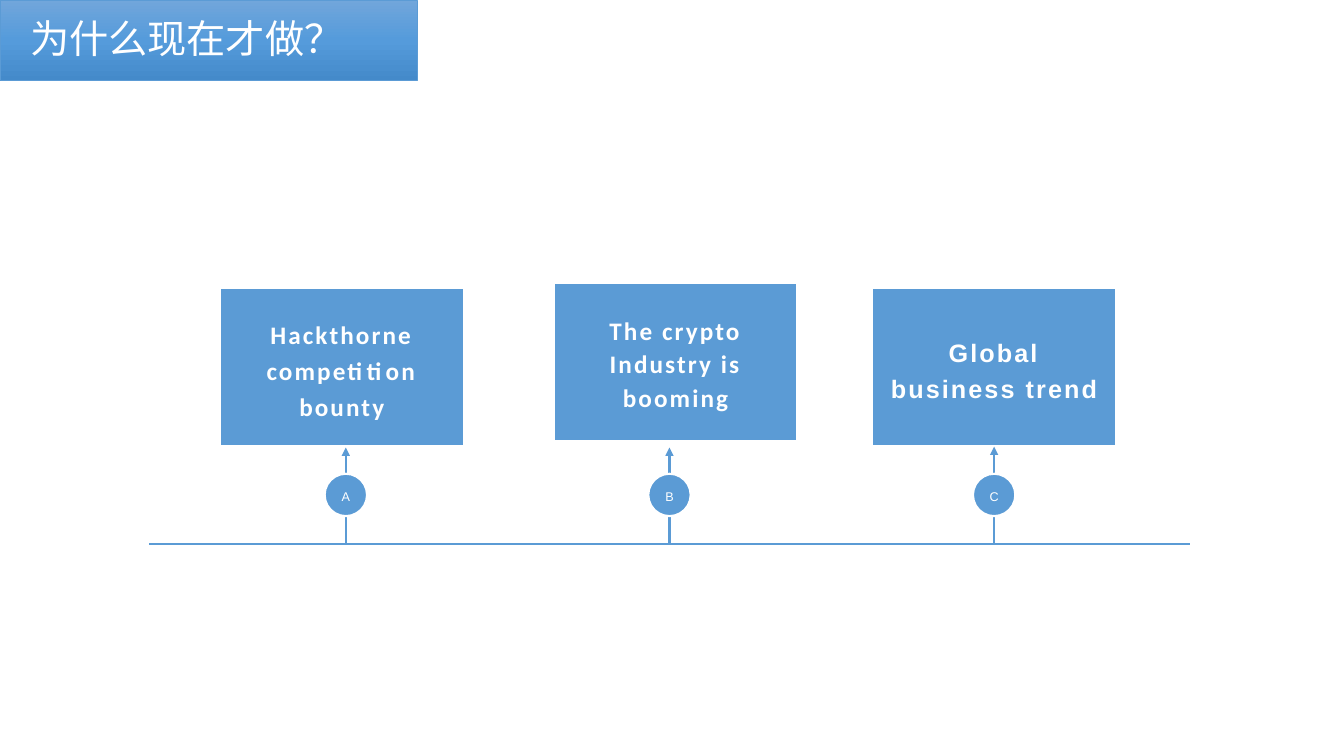
from copy import deepcopy

from lxml.etree import SubElement
from pptx import Presentation
from pptx.dml.color import RGBColor
from pptx.enum.shapes import MSO_CONNECTOR, MSO_SHAPE
from pptx.enum.text import MSO_ANCHOR, MSO_AUTO_SIZE, PP_ALIGN
from pptx.oxml.ns import qn
from pptx.util import Inches, Pt

BLUE = "5B9BD5"
WHITE = "FFFFFF"
AXIS_Y = 5.4
CARD_WIDTH, CARD_HEIGHT = 2.42, 1.57
MARKER_SIZE = 0.42

# letter, stem x, card left, card top, text, font, line spacing
STEPS = [
    ("A", 3.43, 2.18, 2.86, "Hackthorne competition bounty", "Calibri", 1.2),
    ("B", 6.64, 5.49, 2.81, "The crypto Industry is booming", "Calibri", 1.1),
    ("C", 9.86, 8.65, 2.86, "Global business trend", "Arial", 1.2),
]


def color(value):
    return RGBColor.from_string(value)


def add_title(slide, left, top, width, height):
    title = slide.shapes.title
    title.left, title.top = Inches(left), Inches(top)
    title.width, title.height = Inches(width), Inches(height)

    # Three-stop gradient, running downwards
    title.fill.gradient()
    title.fill.gradient_angle = 270
    stop_list = title._element.spPr.find(".//" + qn("a:gsLst"))
    stop_list.insert(1, deepcopy(stop_list[0]))
    stops = [(0, "71A6DB"), (0.5, "559BDB"), (1, "448ACA")]
    for stop, (position, value) in zip(title.fill.gradient_stops, stops):
        stop.position = position
        stop.color.rgb = color(value)
    title.line.color.rgb = color(BLUE)
    title.line.width = Pt(0.5)

    frame = title.text_frame
    frame.text = "为什么现在才做？"
    frame.auto_size = MSO_AUTO_SIZE.NONE
    frame.word_wrap = True
    frame.vertical_anchor = MSO_ANCHOR.MIDDLE
    frame.margin_left = frame.margin_right = Inches(0.3)
    frame.margin_top = frame.margin_bottom = Inches(0.05)
    paragraph = frame.paragraphs[0]
    paragraph.alignment = PP_ALIGN.LEFT
    paragraph.line_spacing = 0.9
    paragraph.space_after = Pt(12)
    font = paragraph.runs[0].font
    font.name = "Noto Sans CJK SC"
    font.size = Pt(28)
    font.color.rgb = color(WHITE)
    SubElement(font._element, qn("a:ea"), typeface="Noto Sans CJK SC")


def add_line(slide, x1, y1, x2, y2):
    line = slide.shapes.add_connector(
        MSO_CONNECTOR.STRAIGHT, Inches(x1), Inches(y1), Inches(x2), Inches(y2))
    line.line.color.rgb = color(BLUE)
    line.line.width = Pt(1.5)
    SubElement(line._element.spPr, qn("a:effectLst"))
    return line


def add_label(slide, preset, left, top, width, height, text, font_name, size,
              spacing):
    shape = slide.shapes.add_shape(
        preset, Inches(left), Inches(top), Inches(width), Inches(height))
    shape.shadow.inherit = False
    shape.fill.solid()
    shape.fill.fore_color.rgb = color(BLUE)
    shape.line.color.rgb = color(WHITE)
    shape.line.width = Pt(1.5)
    frame = shape.text_frame
    frame.text = text
    frame.word_wrap = True
    frame.vertical_anchor = MSO_ANCHOR.MIDDLE
    paragraph = frame.paragraphs[0]
    paragraph.alignment = PP_ALIGN.CENTER
    paragraph.line_spacing = spacing
    paragraph.font.name = font_name
    paragraph.font.size = Pt(size)
    paragraph.font.color.rgb = color(WHITE)
    return shape


def add_step(slide, letter, stem_x, left, top, text, font_name, spacing):
    # Card with widely spaced bold text
    card = add_label(slide, MSO_SHAPE.RECTANGLE, left, top, CARD_WIDTH,
                     CARD_HEIGHT, text, font_name, 18, spacing)
    paragraph = card.text_frame.paragraphs[0]
    paragraph.font.bold = True
    paragraph.runs[0].font._element.set("spc", "150")

    # Arrow from the axis, joined where it meets the middle of the card
    stem = add_line(slide, stem_x, AXIS_Y, stem_x, 4.44)
    if abs(left + CARD_WIDTH / 2 - stem_x) < 0.01:
        stem.end_connect(card, 2)
    SubElement(stem.line._get_or_add_ln(), qn("a:tailEnd"), type="triangle")

    # Lettered marker on the stem
    marker = add_label(slide, MSO_SHAPE.OVAL, stem_x - MARKER_SIZE / 2, 4.7,
                       MARKER_SIZE, MARKER_SIZE, letter, "Arial", 9, 1.2)
    marker.text_frame.word_wrap = False


def add_timeline(slide, left, right):
    add_line(slide, left, AXIS_Y, right, AXIS_Y)
    for step in STEPS:
        add_step(slide, *step)


def main():
    presentation = Presentation()
    presentation.slide_width = Inches(13.33)
    presentation.slide_height = Inches(7.5)
    slide = presentation.slides.add_slide(presentation.slide_layouts[5])
    add_title(slide, 0, 0, 4.14, 0.8)
    add_timeline(slide, 1.48, 11.8)
    presentation.save("out.pptx")


if __name__ == "__main__":
    main()
